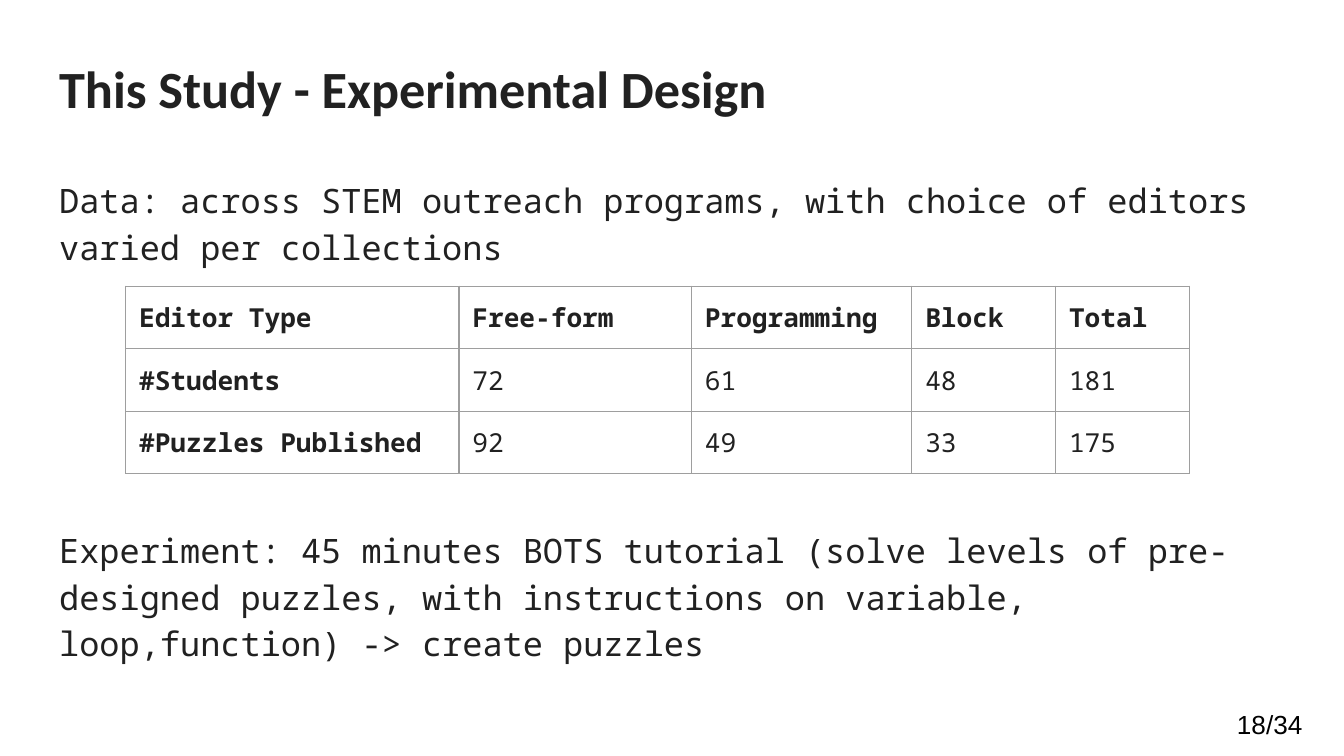
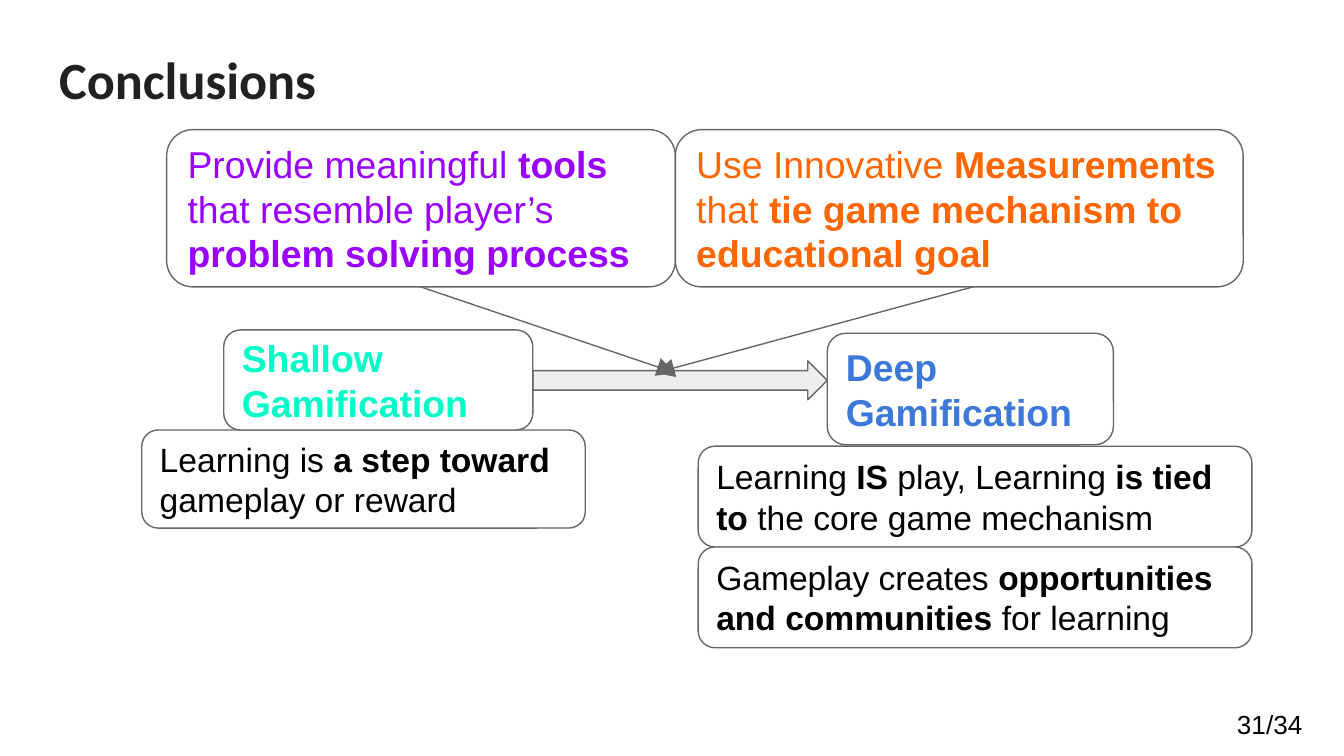
from dataclasses import dataclass

from lxml.etree import SubElement
from pptx import Presentation
from pptx.dml.color import RGBColor
from pptx.enum.shapes import MSO_CONNECTOR, MSO_SHAPE
from pptx.enum.text import MSO_ANCHOR, MSO_AUTO_SIZE, PP_ALIGN
from pptx.oxml.ns import qn
from pptx.util import Pt

PX = 4572  # EMU in one px, 200 px to the inch


@dataclass(frozen=True)
class Theme:
    heading_font: str = "Calibri"
    body_font: str = "Noto Sans Mono"
    diagram_font: str = "Arial"
    ink: str = "212121"
    black: str = "000000"
    white: str = "FFFFFF"
    outline: str = "666666"
    arrow_fill: str = "EEEEEE"
    grid: str = "9E9E9E"
    purple: str = "9900FF"
    orange: str = "FF6600"
    mint: str = "00FDC8"
    blue: str = "3C78D8"
    title_size: int = 28
    key_size: int = 20
    text_size: int = 18
    small_size: int = 14
    line_width: float = 0.75
    margin: int = 20


THEME = Theme()
SLIDE_SIZE = (2000, 1125)
PAGE_COUNT = 34

# Experimental design
DESIGN = {
    "title": "This Study - Experimental Design",
    "title_top": 64,
    "page": 18,
    "data": "Data: across STEM outreach programs, with choice of editors "
            "varied per collections",
    "experiment": "Experiment: 45 minutes BOTS tutorial (solve levels of "
                  "pre-designed puzzles, with instructions on variable, "
                  "loop,function) -> create puzzles",
    "editors": [
        ("Editor Type", "Free-form", "Programming", "Block", "Total"),
        ("#Students", "72", "61", "48", "181"),
        ("#Puzzles Published", "92", "49", "33", "175"),
    ],
}
EDITORS_ORIGIN = (187, 426)
EDITORS_COLUMNS = (496, 346, 328, 214, 199)
EDITORS_ROW = 93
TABLE_GAP = 122  # points left free for the table between the paragraphs

# Conclusions: each text alternates between regular and bold pieces
CONCLUSIONS = {"title": "Conclusions", "title_top": 50, "page": 31}
STATEMENTS = [
    ((211, 640, 660, 146), THEME.black, THEME.text_size,
     ("Learning is ", "a step toward ", "gameplay or reward")),
    ((1039, 664, 824, 150), THEME.black, THEME.text_size,
     ("Learning ", "IS", " play, Learning ", "is tied to",
      " the core game mechanism")),
    ((1039, 814, 824, 150), THEME.black, THEME.text_size,
     ("Gameplay creates ", "opportunities and communities",
      " for learning")),
    ((248, 193, 757, 234), THEME.purple, THEME.key_size,
     ("Provide meaningful ", "tools ", "that resemble player’s ",
      "problem solving process")),
    ((1005, 193, 845, 234), THEME.orange, THEME.key_size,
     ("Use Innovative ", "Measurements", " that ",
      "tie game mechanism to educational goal")),
    ((1231, 496, 426, 166), THEME.blue, THEME.key_size,
     ("", "Deep Gamification")),
    ((333, 491, 460, 149), THEME.mint, THEME.key_size,
     ("", "Shallow Gamification")),
]
TRANSITION = (793, 537, 438, 58)
INFLUENCES = [((626, 427), (1005, 555)), ((1448, 427), (976, 555))]


def emu(lengths):
    return [length * PX for length in lengths]


def style_font(font, name, size, colour, bold=False):
    font.name, font.size, font.bold = name, Pt(size), bold
    font.color.rgb = RGBColor.from_string(colour)


def set_margins(frame):
    frame.margin_left = frame.margin_right = THEME.margin * PX
    frame.margin_top = frame.margin_bottom = THEME.margin * PX


def place(placeholder, box):
    placeholder.left, placeholder.top, placeholder.width, placeholder.height = emu(box)
    frame = placeholder.text_frame
    set_margins(frame)
    frame.word_wrap = True
    frame.auto_size = MSO_AUTO_SIZE.NONE
    frame.vertical_anchor = MSO_ANCHOR.TOP
    return frame


def start_slide(deck, layout, content):
    slide = deck.slides.add_slide(deck.slide_layouts[layout])
    # Title
    heading = place(slide.shapes.title, (68, content["title_top"], 1864, 176))
    heading.text = content["title"]
    line = heading.paragraphs[0]
    line.alignment, line.line_spacing = PP_ALIGN.LEFT, 1.0
    style_font(line.runs[0].font, THEME.heading_font, THEME.title_size,
               THEME.ink, True)
    # Page number
    footer = slide.shapes.add_textbox(*emu((1821, 1045, 150, 68))).text_frame
    footer.word_wrap = True
    footer.text = f"{content['page']}/{PAGE_COUNT}"
    style_font(footer.paragraphs[0].runs[0].font, THEME.diagram_font,
               THEME.small_size, THEME.black)
    return slide


def add_border(cell):
    properties = cell._tc.get_or_add_tcPr()
    for side in ("a:lnL", "a:lnR", "a:lnT", "a:lnB"):
        edge = SubElement(properties, qn(side), w=str(Pt(THEME.line_width)))
        fill = SubElement(edge, qn("a:solidFill"))
        SubElement(fill, qn("a:srgbClr"), val=THEME.grid)


def add_editors(slide):
    rows = DESIGN["editors"]
    box = (*EDITORS_ORIGIN, sum(EDITORS_COLUMNS), EDITORS_ROW * len(rows))
    table = slide.shapes.add_table(len(rows), len(EDITORS_COLUMNS), *emu(box)).table
    for column, width in zip(table.columns, EDITORS_COLUMNS):
        column.width = width * PX
    for r, row in enumerate(rows):
        for c, value in enumerate(row):
            cell = table.cell(r, c)
            set_margins(cell)
            add_border(cell)
            cell.fill.background()
            cell.text = value
            style_font(cell.text_frame.paragraphs[0].runs[0].font,
                       THEME.body_font, THEME.small_size, THEME.ink,
                       r == 0 or c == 0)


def build_design(deck):
    slide = start_slide(deck, 1, DESIGN)
    body = place(slide.placeholders[1], (68, 239, 1864, 760))
    body.text = DESIGN["data"] + "\n" + DESIGN["experiment"]
    for paragraph, gap in zip(body.paragraphs, (0, TABLE_GAP)):
        properties = paragraph._p.get_or_add_pPr()
        properties.set("marL", "0")
        properties.set("indent", "0")
        SubElement(properties, qn("a:buNone"))
        paragraph.line_spacing = 1.15
        paragraph.space_before, paragraph.space_after = Pt(gap), Pt(16)
        style_font(paragraph.runs[0].font, THEME.body_font, THEME.text_size,
                   THEME.ink)
    add_editors(slide)


def add_outlined(slide, preset, box, fill):
    shape = slide.shapes.add_shape(preset, *emu(box))
    shape.shadow.inherit = False
    shape.fill.solid()
    shape.fill.fore_color.rgb = RGBColor.from_string(fill)
    shape.line.color.rgb = RGBColor.from_string(THEME.outline)
    shape.line.width = Pt(THEME.line_width)
    return shape


def add_statement(slide, box, colour, size, pieces):
    frame = add_outlined(slide, MSO_SHAPE.ROUNDED_RECTANGLE, box,
                         THEME.white).text_frame
    set_margins(frame)
    frame.word_wrap = True
    frame.vertical_anchor = MSO_ANCHOR.MIDDLE
    paragraph = frame.paragraphs[0]
    paragraph.alignment, paragraph.line_spacing = PP_ALIGN.LEFT, 1.0
    for index, piece in enumerate(pieces):
        if piece:
            run = paragraph.add_run()
            run.text = piece
            style_font(run.font, THEME.diagram_font, size, colour,
                       index % 2 == 1)


def add_influence(slide, start, end):
    influence = slide.shapes.add_connector(MSO_CONNECTOR.STRAIGHT,
                                           *emu(start + end))
    influence.line.color.rgb = RGBColor.from_string(THEME.outline)
    influence.line.width = Pt(THEME.line_width)
    SubElement(influence.line._get_or_add_ln(), qn("a:tailEnd"),
               type="triangle", w="lg", len="lg")
    SubElement(influence._element.spPr, qn("a:effectLst"))


def build_conclusions(deck):
    slide = start_slide(deck, 5, CONCLUSIONS)
    add_outlined(slide, MSO_SHAPE.RIGHT_ARROW, TRANSITION, THEME.arrow_fill)
    for statement in STATEMENTS:
        add_statement(slide, *statement)
    for start, end in INFLUENCES:
        add_influence(slide, start, end)


def main():
    deck = Presentation()
    deck.slide_width, deck.slide_height = emu(SLIDE_SIZE)
    build_design(deck)
    build_conclusions(deck)
    deck.save("out.pptx")


if __name__ == "__main__":
    main()
